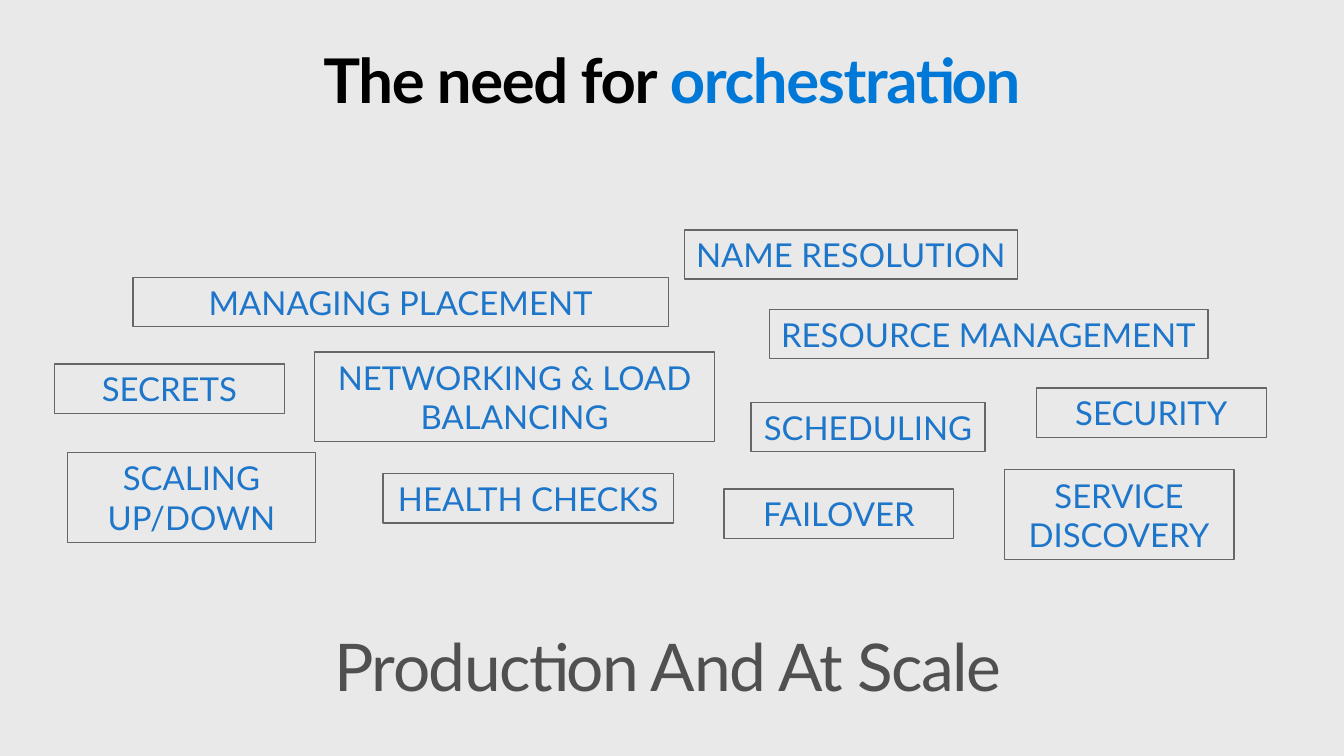
from pptx import Presentation
from pptx.dml.color import RGBColor
from pptx.enum.shapes import MSO_SHAPE
from pptx.enum.text import MSO_ANCHOR, MSO_AUTO_SIZE, PP_ALIGN
from pptx.util import Inches, Pt

BACKGROUND = "E9E9E9"
BORDER = "666666"
CONCERN_BLUE = "1E76CA"
ACCENT_BLUE = "0078D7"
BLACK = "000000"
GRAY = "505050"

ONE_LINE, TWO_LINES = 0.49, 0.89

# Label, left, top, width, height
CONCERNS = [
    ("MANAGING PLACEMENT", 1.32, 2.75, 5.31, ONE_LINE),
    ("NETWORKING & LOAD BALANCING", 3.12, 3.49, 3.97, TWO_LINES),
    ("NAME RESOLUTION", 6.79, 2.28, 3.3, ONE_LINE),
    ("FAILOVER", 7.18, 4.85, 2.28, ONE_LINE),
    ("RESOURCE MANAGEMENT", 7.63, 3.07, 4.35, ONE_LINE),
    ("SCHEDULING", 7.45, 3.99, 2.32, ONE_LINE),
    ("SCALING UP/DOWN", 0.67, 4.49, 2.46, TWO_LINES),
    ("SECURITY", 10.28, 3.85, 2.28, ONE_LINE),
    ("SERVICE DISCOVERY", 9.96, 4.66, 2.28, TWO_LINES),
    ("HEALTH CHECKS", 3.8, 4.7, 2.88, ONE_LINE),
    ("SECRETS", 0.54, 3.61, 2.28, ONE_LINE),
]


def color(value):
    return RGBColor.from_string(value)


def add_text(paragraph, text, *, size, fill, font="Lato", bold=False, spacing=0):
    """Add one formatted run; spacing is in points."""
    run = paragraph.add_run()
    run.text = text
    run.font.name = font
    run.font.size = Pt(size)
    run.font.bold = bold
    run.font.color.rgb = color(fill)
    if spacing:
        run.font._element.set("spc", str(round(spacing * 100)))


class SlideBuilder:
    def __init__(self, presentation):
        self.slide = presentation.slides.add_slide(presentation.slide_layouts[6])
        background = self.slide.background.fill
        background.solid()
        background.fore_color.rgb = color(BACKGROUND)

    def concern(self, label, left, top, width, height):
        """Outlined box with a centred label."""
        shape = self.slide.shapes.add_shape(
            MSO_SHAPE.RECTANGLE, *map(Inches, (left, top, width, height)))
        shape.shadow.inherit = False
        shape.fill.solid()
        shape.fill.fore_color.rgb = color(BACKGROUND)
        shape.line.color.rgb = color(BORDER)
        shape.line.width = Pt(1)
        frame = shape.text_frame
        frame.word_wrap = True
        frame.auto_size = MSO_AUTO_SIZE.SHAPE_TO_FIT_TEXT
        paragraph = frame.paragraphs[0]
        paragraph.alignment = PP_ALIGN.CENTER
        add_text(paragraph, label, size=23.5, fill=CONCERN_BLUE)

    def heading(self, parts, left, top, width, height, *, size,
                bold=False, side_inset=0, end_inset=0):
        """Centred line of text made of (text, colour) parts."""
        box = self.slide.shapes.add_textbox(
            *map(Inches, (left, top, width, height)))
        frame = box.text_frame
        frame.word_wrap = True
        frame.vertical_anchor = MSO_ANCHOR.TOP
        frame.margin_left = frame.margin_right = Inches(side_inset)
        frame.margin_top = frame.margin_bottom = Inches(end_inset)
        paragraph = frame.paragraphs[0]
        paragraph.alignment = PP_ALIGN.CENTER
        paragraph.line_spacing = 0.9
        for text, fill in parts:
            add_text(paragraph, text, size=size, fill=fill, bold=bold, spacing=-1)


def main():
    presentation = Presentation()
    presentation.slide_width = Inches(13.33)
    presentation.slide_height = Inches(7.5)
    builder = SlideBuilder(presentation)

    # Orchestration concerns
    for concern in CONCERNS:
        builder.concern(*concern)

    # Closing line
    builder.heading([("Production And At Scale", GRAY)], 0.25, 6.2, 12.75, 0.98,
                    size=47, side_inset=0.16, end_inset=0.1)

    # Title
    builder.heading([("The need for ", BLACK), ("orchestration", ACCENT_BLUE)],
                    0.5, 0.5, 12.33, 0.78, size=44, bold=True)

    presentation.save("out.pptx")


if __name__ == "__main__":
    main()
